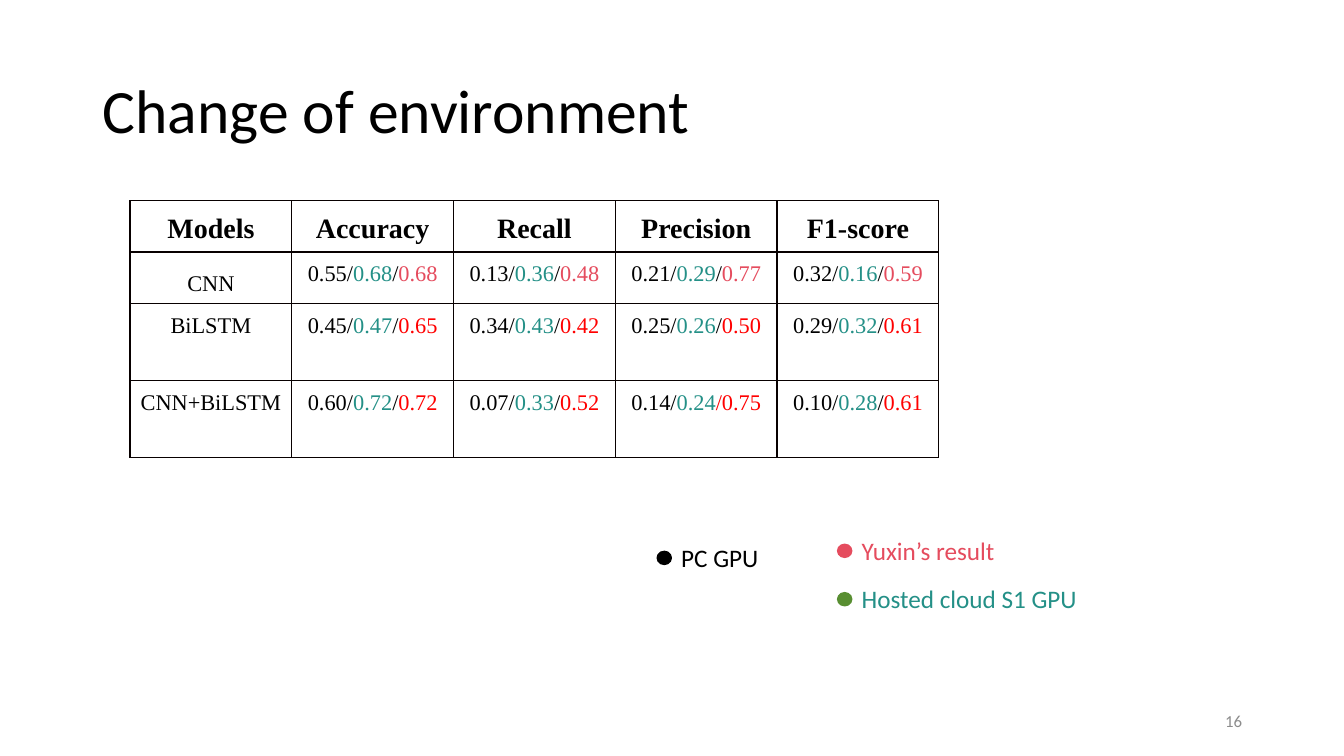
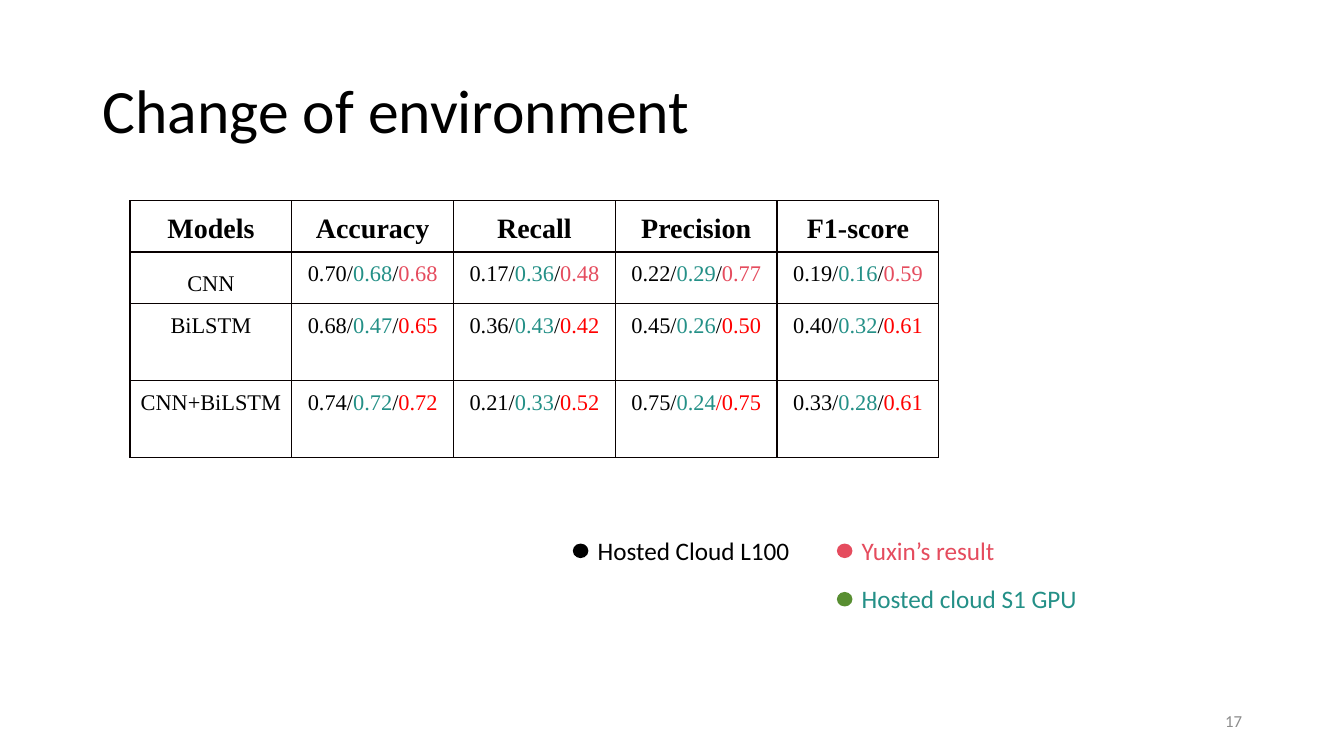
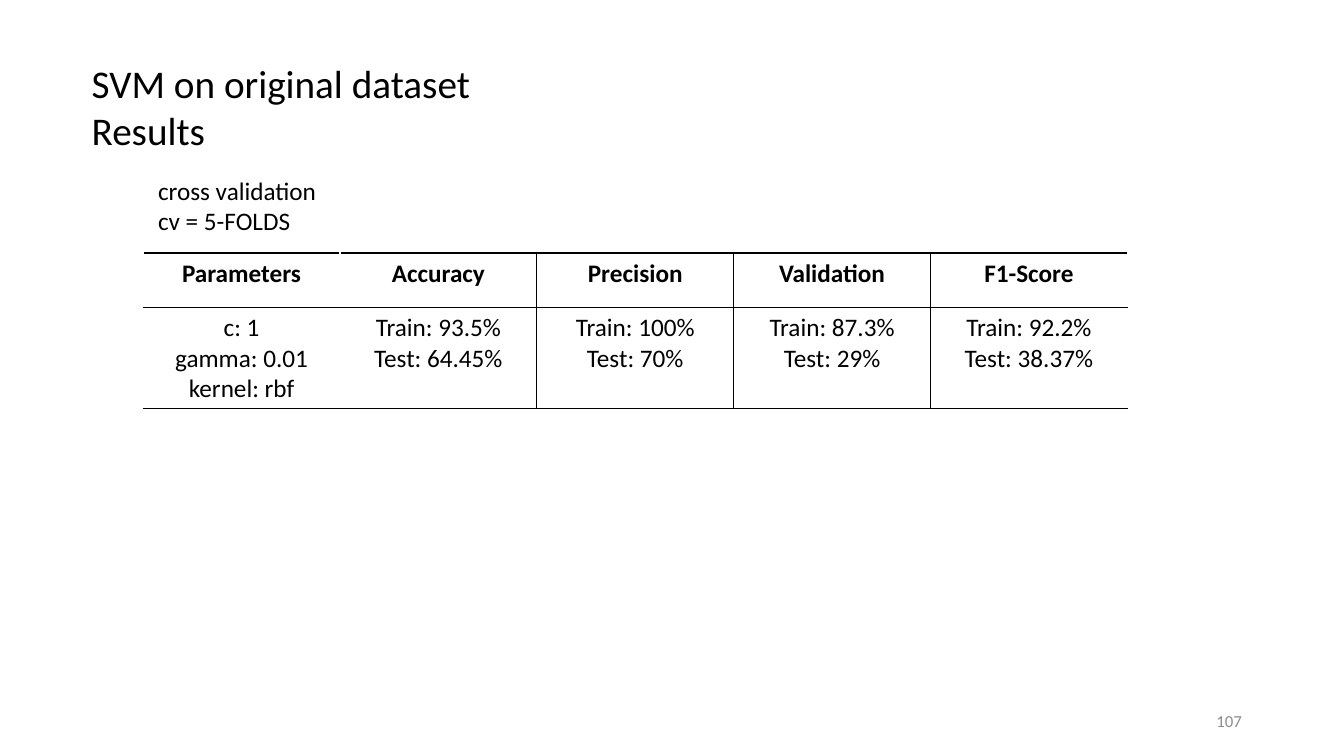
from dataclasses import dataclass
from typing import NamedTuple

from lxml import etree
from pptx import Presentation
from pptx import util as u
from pptx.dml.color import RGBColor
from pptx.enum import shapes, text
from pptx.oxml.ns import qn

# Grid: one unit is a tenth of an inch
UNIT = u.Inches(0.1)
SLIDE_COLUMNS, SLIDE_ROWS = 133.33, 75

BLACK = RGBColor(0x00, 0x00, 0x00)
WHITE = RGBColor(0xFF, 0xFF, 0xFF)
GRAY = RGBColor(0x8C, 0x8C, 0x8C)
TEAL = RGBColor(0x24, 0x90, 0x87)
PINK = RGBColor(0xE5, 0x4C, 0x5E)
RED = RGBColor(0xFF, 0x00, 0x00)
GREEN = RGBColor(0x58, 0x8E, 0x31)
RULE = RGBColor(0x08, 0x00, 0x00)

SANS, SERIF = "Calibri", "Times New Roman"
TITLE_ONLY = 5


class Area(NamedTuple):
    column: float
    row: float
    width: float
    height: float


class Span(NamedTuple):
    words: str
    color: RGBColor = BLACK


@dataclass(frozen=True)
class Style:
    size: int
    name: str = SANS
    color: RGBColor = BLACK
    bold: bool = False
    align: text.PP_ALIGN = text.PP_ALIGN.LEFT
    spacing: float = 1.0


@dataclass(frozen=True)
class LegendEntry:
    label: str
    column: float
    row: float
    width: float
    color: RGBColor
    dot_color: RGBColor


@dataclass(frozen=True)
class ModelScores:
    name: str
    hosted: tuple[str, ...]
    reference: tuple[str, ...]
    reference_color: RGBColor
    name_spacing: float = 1.4


@dataclass(frozen=True)
class Comparison:
    number: int
    scores: tuple[tuple[str, ...], ...]
    legend: LegendEntry


TITLE_AREA = Area(9.2, 4, 115, 14.5)
NUMBER_AREA = Area(94.2, 69.5, 30, 4)
CENTER = text.PP_ALIGN.CENTER
TITLE_STYLE = Style(44, spacing=0.9)
NUMBER_STYLE = Style(12, color=GRAY, align=text.PP_ALIGN.RIGHT)
NOTE_STYLE = Style(18)
HEADER_STYLE = Style(20, SERIF, bold=True, align=CENTER, spacing=1.4)

# Content of the comparison slides
METRICS = ("Models", "Accuracy", "Recall", "Precision", "F1-score")
MODELS = (
    ModelScores("CNN", ("0.68", "0.36", "0.29", "0.16"),
                ("0.68", "0.48", "0.77", "0.59"), PINK, 1.8),
    ModelScores("BiLSTM", ("0.47", "0.43", "0.26", "0.32"),
                ("0.65", "0.42", "0.50", "0.61"), RED),
    ModelScores("CNN+BiLSTM", ("0.72", "0.33", "0.24", "0.28"),
                ("0.72", "0.52", "0.75", "0.61"), RED),
)
RED_SLASH = ("CNN+BiLSTM", "Precision")
SHARED_LEGEND = (
    LegendEntry("Yuxin’s result", 83.1, 54, 38.5, PINK, PINK),
    LegendEntry("Hosted cloud S1 GPU", 83.1, 58.8, 31.4, TEAL, GREEN),
)
COMPARISONS = (
    Comparison(16, (("0.55", "0.13", "0.21", "0.32"),
                    ("0.45", "0.34", "0.25", "0.29"),
                    ("0.60", "0.07", "0.14", "0.10")),
               LegendEntry("PC GPU", 65.2, 54.7, 13.8, BLACK, BLACK)),
    Comparison(17, (("0.70", "0.17", "0.22", "0.19"),
                    ("0.68", "0.36", "0.45", "0.40"),
                    ("0.74", "0.21", "0.75", "0.33")),
               LegendEntry("Hosted Cloud L100", 56.9, 54, 31.1, BLACK, BLACK)),
)

# Content of the results slide
RESULTS = (
    ("Parameters", ("c: 1", "gamma: 0.01", "kernel: rbf")),
    ("Accuracy", ("Train: 93.5%", "Test: 64.45%")),
    ("Precision", ("Train: 100%", "Test: 70%")),
    ("Validation", ("Train: 87.3%", "Test: 29%")),
    ("F1-Score", ("Train: 92.2%", "Test: 38.37%")),
)


def units(count: float) -> int:
    return round(count * UNIT)


# Text
def write(frame, lines, style: Style) -> None:
    """Fill a text frame; a line is a string or a list of spans."""
    for index, line in enumerate(lines):
        para = frame.paragraphs[0] if index == 0 else frame.add_paragraph()
        para.alignment = style.align
        para.line_spacing = style.spacing
        para.font.name = style.name
        para.font.size = u.Pt(style.size)
        para.font.bold = style.bold
        if isinstance(line, str):
            para.font.color.rgb = style.color
            para.add_run().text = line
            continue
        for span in line:
            run = para.add_run()
            run.text = span.words
            run.font.color.rgb = span.color


def add_text(slide, area: Area, lines, style: Style,
             anchor=text.MSO_ANCHOR.TOP) -> None:
    box = slide.shapes.add_textbox(*map(units, area))
    box.text_frame.word_wrap = True
    box.text_frame.vertical_anchor = anchor
    write(box.text_frame, lines, style)


# Shared slide frame
def add_slide(deck, number: int, title_lines, title_style: Style = TITLE_STYLE,
              title_area: Area = TITLE_AREA, anchor=text.MSO_ANCHOR.MIDDLE):
    slide = deck.slides.add_slide(deck.slide_layouts[TITLE_ONLY])
    title = slide.shapes.title
    title.left, title.top, title.width, title.height = map(units, title_area)
    title.text_frame.auto_size = text.MSO_AUTO_SIZE.NONE
    title.text_frame.vertical_anchor = anchor
    write(title.text_frame, title_lines, title_style)
    add_text(slide, NUMBER_AREA, [str(number)], NUMBER_STYLE, text.MSO_ANCHOR.MIDDLE)
    return slide


# Tables
def add_table(slide, column: float, row: float, widths, heights):
    area = Area(column, row, sum(widths), sum(heights))
    table = slide.shapes.add_table(len(heights), len(widths), *map(units, area)).table
    table.first_row = table.horz_banding = False
    for table_column, width in zip(table.columns, widths):
        table_column.width = units(width)
    for table_row, height in zip(table.rows, heights):
        table_row.height = units(height)
    return table


def set_borders(cell, left: RGBColor, right: RGBColor, level: RGBColor) -> None:
    """Draw the four sides; level colours both the top and the bottom."""
    cell.fill.background()
    properties = cell._tc.get_or_add_tcPr()
    sides = (("a:lnL", left), ("a:lnR", right), ("a:lnT", level), ("a:lnB", level))
    for index, (tag, color) in enumerate(sides):
        line = etree.Element(qn(tag), w=str(u.Pt(1)))
        fill = etree.SubElement(line, qn("a:solidFill"))
        etree.SubElement(fill, qn("a:srgbClr"), val=str(color))
        properties.insert(index, line)


def fill_score_cell(cell, lines, style: Style) -> None:
    cell.margin_left = cell.margin_right = units(0.7)
    cell.margin_top = cell.margin_bottom = 0
    set_borders(cell, RULE, RULE, RULE)
    write(cell.text_frame, lines, style)


def add_score_table(slide, scores) -> None:
    table = add_table(slide, 12.9, 19.9, [16.05] * 5, (5.1, 5.1, 7.65, 7.65))
    for column, metric in enumerate(METRICS):
        fill_score_cell(table.cell(0, column), [metric], HEADER_STYLE)
    for row, (model, own_scores) in enumerate(zip(MODELS, scores), start=1):
        name_style = Style(16, SERIF, align=CENTER, spacing=model.name_spacing)
        fill_score_cell(table.cell(row, 0), [model.name], name_style)
        score_style = Style(16, SERIF, align=CENTER, spacing=1.4)
        trios = zip(own_scores, model.hosted, model.reference)
        for column, (own, hosted, reference) in enumerate(trios, start=1):
            is_red = (model.name, METRICS[column]) == RED_SLASH
            spans = [Span(own + "/"), Span(hosted, TEAL),
                     Span("/", RED if is_red else BLACK),
                     Span(reference, model.reference_color)]
            fill_score_cell(table.cell(row, column), [spans], score_style)


def add_result_table(slide) -> None:
    table = add_table(slide, 14.2, 25.1, [19.53] * 5, (5.4, 10))
    last = len(RESULTS) - 1
    for column, (heading, values) in enumerate(RESULTS):
        left = WHITE if column < 2 else BLACK
        right = WHITE if column in (0, last) else BLACK
        for row, lines in enumerate(([heading], values)):
            cell = table.cell(row, column)
            set_borders(cell, left, right, BLACK)
            write(cell.text_frame, lines, Style(18, bold=row == 0, align=CENTER))


# Legend
def add_legend_entry(slide, entry: LegendEntry) -> None:
    area = Area(entry.column, entry.row, 1.4, 1.3)
    dot = slide.shapes.add_shape(shapes.MSO_SHAPE.OVAL, *map(units, area))
    dot.shadow.inherit = False
    dot.fill.solid()
    dot.fill.fore_color.rgb = entry.dot_color
    dot.line.color.rgb = entry.dot_color
    dot.line.width = u.Pt(1)
    label_area = Area(entry.column + 1.4, entry.row - 1.4, entry.width, 4)
    add_text(slide, label_area, [entry.label], Style(18, color=entry.color))


def main() -> None:
    deck = Presentation()
    deck.slide_width, deck.slide_height = units(SLIDE_COLUMNS), units(SLIDE_ROWS)

    for comparison in COMPARISONS:
        slide = add_slide(deck, comparison.number, ["Change of environment"])
        add_score_table(slide, comparison.scores)
        for entry in (*SHARED_LEGEND, comparison.legend):
            add_legend_entry(slide, entry)

    slide = add_slide(deck, 107, ["SVM on original dataset", "Results"], Style(28),
                      Area(8.1, 5.4, 59.6, 10.4), text.MSO_ANCHOR.TOP)
    add_result_table(slide)
    add_text(slide, Area(14.7, 16.9, 66.7, 7.1),
             ["cross validation", "cv = 5-FOLDS"], NOTE_STYLE)

    deck.save("out.pptx")


if __name__ == "__main__":
    main()
